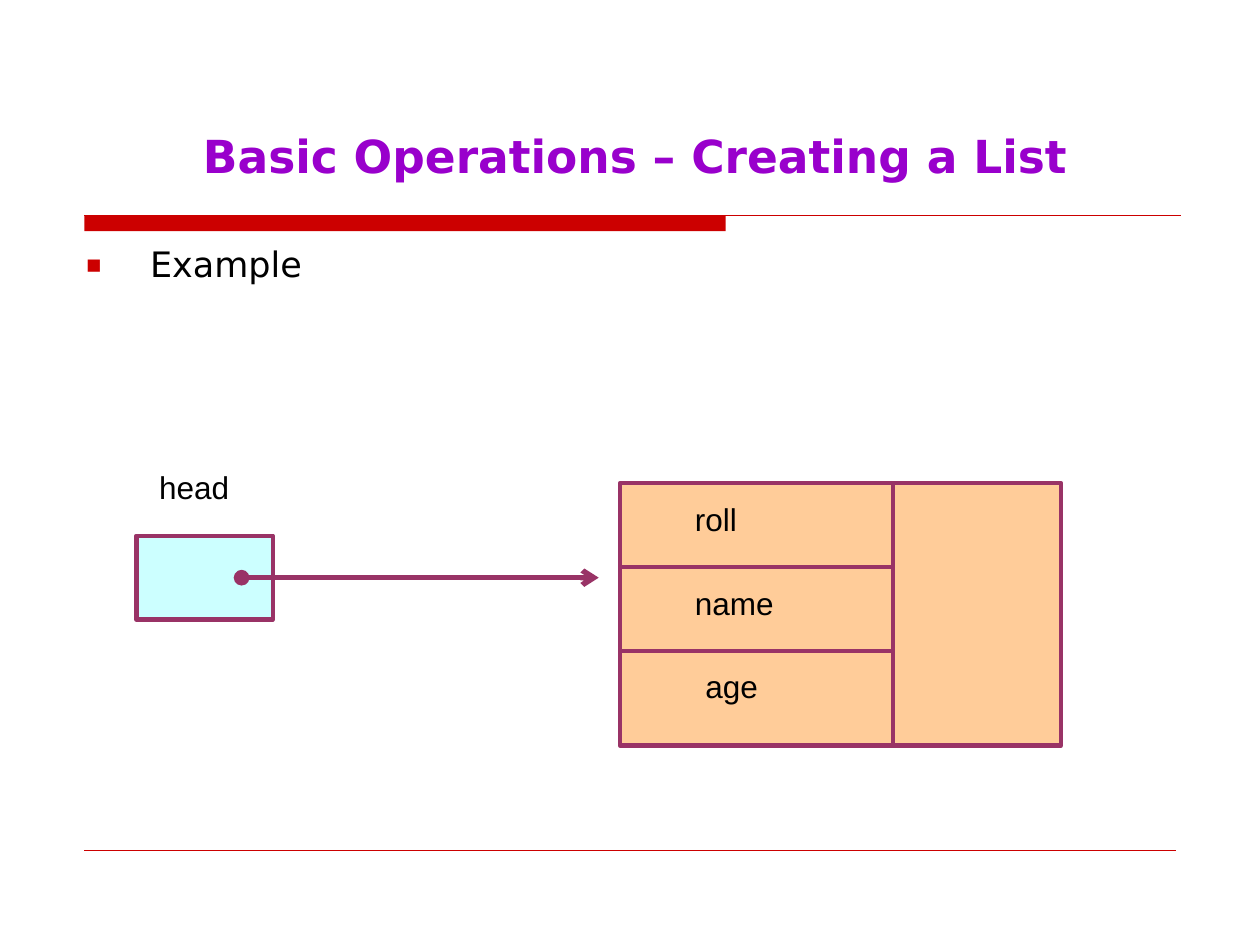
from dataclasses import dataclass

import pptx
import pptx.dml.color
import pptx.enum.shapes
import pptx.enum.text
import pptx.oxml
import pptx.oxml.ns
import pptx.util
from lxml import etree
from pptx.util import Cm

ALIGN = pptx.enum.text.PP_ALIGN
ANCHOR = pptx.enum.text.MSO_ANCHOR


@dataclass(frozen=True)
class Theme:
    rule: str = "CC0000"
    title: str = "9900CC"
    text: str = "000000"
    outline: str = "993366"
    node: str = "FFCC99"
    pointer: str = "CCFFFF"
    heading_font: str = "DejaVu Sans"
    label_font: str = "Arial"
    title_size: float = 26
    body_size: float = 20
    label_size: float = 18
    outline_width: float = 2.5
    arrow_width: float = 3


THEME = Theme()


def rgb(value):
    return pptx.dml.color.RGBColor.from_string(value)


def add_xml(parent, tag, **attributes):
    return etree.SubElement(parent, pptx.oxml.ns.qn(tag), attributes)


def place(shape, left, top, width, height):
    shape.left, shape.top = Cm(left), Cm(top)
    shape.width, shape.height = Cm(width), Cm(height)


def write(shape, text, *, font=THEME.label_font, size=THEME.label_size,
          color=THEME.text, bold=False, align=ALIGN.LEFT, anchor=ANCHOR.TOP):
    """Fill a shape with one formatted paragraph and return it."""
    frame = shape.text_frame
    frame.word_wrap = True
    frame.auto_size = pptx.enum.text.MSO_AUTO_SIZE.NONE
    frame.vertical_anchor = anchor
    paragraph = frame.paragraphs[0]
    paragraph.alignment = align
    paragraph.space_before = pptx.util.Pt(0)
    run = paragraph.add_run()
    run.text = text
    run.font.name = font
    run.font.size = pptx.util.Pt(size)
    run.font.bold = bold
    run.font.color.rgb = rgb(color)
    return paragraph


def add_bullet(paragraph, char, color, indent):
    properties = paragraph._p.get_or_add_pPr()
    properties.set("marL", str(Cm(indent)))
    properties.set("indent", str(-Cm(indent)))
    add_xml(add_xml(properties, "a:buClr"), "a:srgbClr", val=color)
    add_xml(properties, "a:buSzPct", val="70000")
    add_xml(properties, "a:buFont", typeface=THEME.heading_font)
    add_xml(properties, "a:buChar", char=char)


def add_box(slide, left, top, width, height, fill, outline=None):
    box = slide.shapes.add_shape(pptx.enum.shapes.MSO_SHAPE.RECTANGLE,
                                 Cm(left), Cm(top), Cm(width), Cm(height))
    box.shadow.inherit = False
    box.fill.solid()
    box.fill.fore_color.rgb = rgb(fill)
    if outline:
        box.line.color.rgb = rgb(outline)
        box.line.width = pptx.util.Pt(THEME.outline_width)
    else:
        box.line.fill.background()


def add_line(slide, start, end, color=THEME.outline, width=THEME.outline_width,
             head=None, tail=None):
    line = slide.shapes.add_connector(pptx.enum.shapes.MSO_CONNECTOR.STRAIGHT,
                                      *map(Cm, start + end))
    line.line.color.rgb = rgb(color)
    line.line.width = pptx.util.Pt(width)
    outline = line.line._get_or_add_ln()
    for tag, kind in (("a:headEnd", head), ("a:tailEnd", tail)):
        if kind:
            add_xml(outline, tag, type=kind)
    add_xml(line._element.spPr, "a:effectLst")


def add_label(slide, text, left, top, width):
    label = slide.shapes.add_textbox(Cm(left), Cm(top), Cm(width), Cm(1.02))
    write(label, text)


def add_rules(slide):
    """Draw the red rules below the title and at the foot."""
    left, top = 1.7, 4.34
    add_box(slide, left, top, 12.93, 0.32, THEME.rule)
    add_line(slide, (left, top), (23.8, top), THEME.rule, 0.75)
    add_line(slide, (left, 17.14), (23.7, 17.14), THEME.rule, 0.25)


def add_headings(slide):
    title, body = slide.placeholders
    place(title, 1.7, 1.9, 22.23, 1.91)
    write(title, "Basic Operations – Creating a List", font=THEME.heading_font,
          size=THEME.title_size, color=THEME.title, bold=True,
          align=ALIGN.CENTER, anchor=ANCHOR.BOTTOM)
    place(body, 1.47, 4.65, 22.43, 11.86)
    example = write(body, "Example", font=THEME.heading_font,
                    size=THEME.body_size, align=ALIGN.JUSTIFY)
    example.line_spacing = 1.14
    add_bullet(example, "▪", THEME.rule, 1.3)


def add_node(slide):
    """Draw the list node: three data fields beside an empty link field."""
    left, top, width, height = 12.5, 9.74, 8.89, 5.29
    divider, row_height = left + 5.5, 1.69
    add_box(slide, left, top, width, height, THEME.node, THEME.outline)
    add_line(slide, (divider, top), (divider, top + height))
    fields = (("roll", 13.76), ("name", 13.76), ("age", 13.97))
    for row, (field, field_left) in enumerate(fields):
        row_top = top + row * row_height
        if row:
            add_line(slide, (left, row_top), (divider, row_top))
        add_label(slide, field, field_left, row_top + 0.21, 4.23)


def add_head_pointer(slide):
    left, top, width, height = 2.75, 10.8, 2.75, 1.69
    middle = top + height / 2
    add_box(slide, left, top, width, height, THEME.pointer, THEME.outline)
    add_line(slide, (4.87, middle), (12.07, middle), width=THEME.arrow_width,
             head="oval", tail="arrow")
    add_label(slide, "head", 2.96, 9.31, 2.96)


def main():
    presentation = pptx.Presentation()
    presentation.slide_width, presentation.slide_height = Cm(25.4), Cm(19.05)
    slide = presentation.slides.add_slide(presentation.slide_layouts[1])
    add_rules(slide)
    add_headings(slide)
    add_node(slide)
    add_head_pointer(slide)
    presentation.save("out.pptx")


if __name__ == "__main__":
    main()
